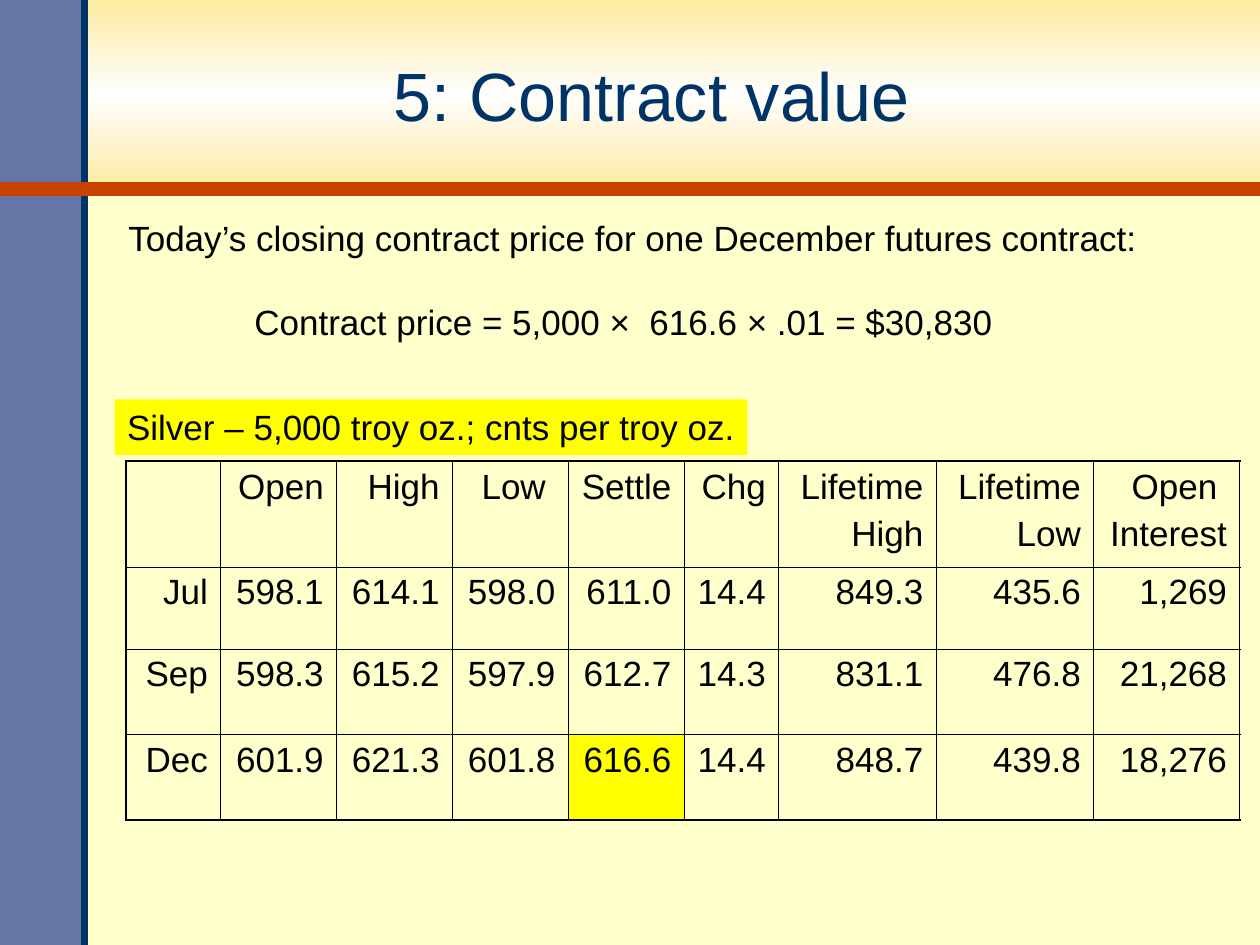
from copy import deepcopy
from dataclasses import dataclass

from lxml import etree
from pptx import Presentation
from pptx.dml.color import RGBColor
from pptx.enum.shapes import MSO_CONNECTOR, MSO_SHAPE
from pptx.enum.text import MSO_ANCHOR, MSO_AUTO_SIZE, PP_ALIGN
from pptx.oxml.ns import qn
from pptx.util import Inches, Pt

RECT = MSO_SHAPE.RECTANGLE
LINE = MSO_CONNECTOR.STRAIGHT
LEFT, MID, RIGHT = PP_ALIGN.LEFT, PP_ALIGN.CENTER, PP_ALIGN.RIGHT
CENTER = MSO_ANCHOR.MIDDLE
GROW = MSO_AUTO_SIZE.SHAPE_TO_FIT_TEXT


@dataclass(frozen=True)
class Theme:
    page: str = "FFFFCC"
    gold: str = "FDEBA1"
    pale: str = "FEFEFE"
    slate: str = "6475A6"
    navy: str = "003366"
    rust: str = "C84300"
    mark: str = "FFFF00"
    ink: str = "000000"
    font: str = "Arial"
    head: float = 39
    body: float = 20
    thick: float = 1.08
    thin: float = 0.45


THEME = Theme()

WIDTHS = [0.75] + [0.92] * 4 + [0.75, 1.25, 1.25, 1.16]
HEIGHTS = [0.84, 0.65, 0.68, 0.68]
ROWS = [
    ["", "Open", "High", "Low ", "Settle", "Chg",
     "Lifetime\nHigh", "Lifetime\nLow", "Open \nInterest"],
    ["Jul", "598.1", "614.1", "598.0", "611.0", "14.4", "849.3", "435.6", "1,269"],
    ["Sep", "598.3", "615.2", "597.9", "612.7", "14.3", "831.1", "476.8", "21,268"],
    ["Dec", "601.9", "621.3", "601.8", "616.6", "14.4", "848.7", "439.8", "18,276"],
]
MARKED = (3, 4)


def color(code):
    return RGBColor.from_string(code)


def paint(fill, code):
    fill.solid()
    fill.fore_color.rgb = color(code)


def write(frame, text, size=THEME.body, ink=THEME.ink, align=LEFT, gap=0):
    frame.text = text
    for i, para in enumerate(frame.paragraphs):
        para.alignment = align
        if i:
            para.space_before = Pt(gap)
        for run in para.runs:
            run.font.name = THEME.font
            run.font.size = Pt(size)
            run.font.color.rgb = color(ink)


def add_rect(slide, *box):
    shape = slide.shapes.add_shape(RECT, *map(Inches, box))
    shape.shadow.inherit = False
    shape.line.fill.background()
    return shape


def add_band(slide, *box):
    fill = add_rect(slide, *box).fill
    fill.gradient()
    fill.gradient_angle = 90
    first, last = fill.gradient_stops
    first.color.rgb = last.color.rgb = color(THEME.gold)
    first.position, last.position = 0, 1
    stops = fill._fill._gradFill.gsLst
    stops.insert(1, deepcopy(stops[0]))
    center = fill.gradient_stops[1]
    center.position = 0.5
    center.color.rgb = color(THEME.pale)


def add_line(slide, code, width, *ends):
    line = slide.shapes.add_connector(LINE, *map(Inches, ends))
    line.line.color.rgb = color(code)
    line.line.width = Pt(width)
    etree.SubElement(line._element.spPr, qn("a:effectLst"))


def set_title(slide, text, *box):
    title = slide.shapes.title
    title.left, title.top, title.width, title.height = map(Inches, box)
    title.text_frame.vertical_anchor = CENTER
    write(title.text_frame, text, THEME.head, THEME.navy, MID)
    slide.shapes._spTree.append(title._element)


def add_edge(cell, side, width):
    edge = etree.SubElement(cell._tc.get_or_add_tcPr(), qn(f"a:ln{side}"), w=str(Pt(width)))
    fill = etree.SubElement(edge, qn("a:solidFill"))
    etree.SubElement(fill, qn("a:srgbClr"), val=THEME.ink)


def add_grid(slide, left, top):
    size = Inches(sum(WIDTHS)), Inches(sum(HEIGHTS))
    table = slide.shapes.add_table(
        len(ROWS), len(WIDTHS), Inches(left), Inches(top), *size).table
    table.first_row = table.horz_banding = False
    for col, width in zip(table.columns, WIDTHS):
        col.width = Inches(width)
    for r, row in enumerate(ROWS):
        table.rows[r].height = Inches(HEIGHTS[r])
        for c, text in enumerate(row):
            cell = table.cell(r, c)
            write(cell.text_frame, text, align=RIGHT, gap=5)
            outer = {"L": c == 0, "R": c == len(row) - 1,
                     "T": r == 0, "B": r == len(ROWS) - 1}
            for side, rim in outer.items():
                add_edge(cell, side, THEME.thick if rim else THEME.thin)
            if (r, c) == MARKED:
                paint(cell.fill, THEME.mark)
            else:
                cell.fill.background()


def add_text(slide, text, *box):
    shape = slide.shapes.add_textbox(*map(Inches, box))
    frame = shape.text_frame
    frame.word_wrap = True
    frame.auto_size = GROW
    write(frame, text, gap=24)
    return shape


def add_label(slide, text, *box):
    shape = add_text(slide, text, *box)
    shape.text_frame.margin_right = Inches(0.02)
    paint(shape.fill, THEME.mark)


def add_note(slide, text, *box):
    frame = add_text(slide, text, *box).text_frame
    frame.paragraphs[1]._p.get_or_add_pPr().set("marL", str(Inches(1)))


def main():
    deck = Presentation()
    deck.slide_width, deck.slide_height = Inches(10), Inches(7.5)
    slide = deck.slides.add_slide(deck.slide_layouts[5])
    paint(slide.background.fill, THEME.page)
    add_band(slide, 0, 0, 10, 1.5)
    paint(add_rect(slide, 0, 0, 0.67, 7.5).fill, THEME.slate)
    add_line(slide, THEME.navy, 4, 0.67, 7.5, 0.67, 0)
    add_line(slide, THEME.rust, 8, 0, 1.5, 10, 1.5)
    set_title(slide, "5: Contract value", 0.65, 0.15, 9.04, 1.2)
    add_grid(slide, 1, 3.66)
    add_label(slide, "Silver – 5,000 troy oz.; cnts per troy oz.", 0.91, 3.17, 5.02, 0.44)
    add_note(slide, "Today’s closing contract price for one December futures contract:\n"
             "Contract price = 5,000 ×  616.6 × .01 = $30,830", 0.92, 1.67, 8.5, 1.1)
    deck.save("out.pptx")


if __name__ == "__main__":
    main()
